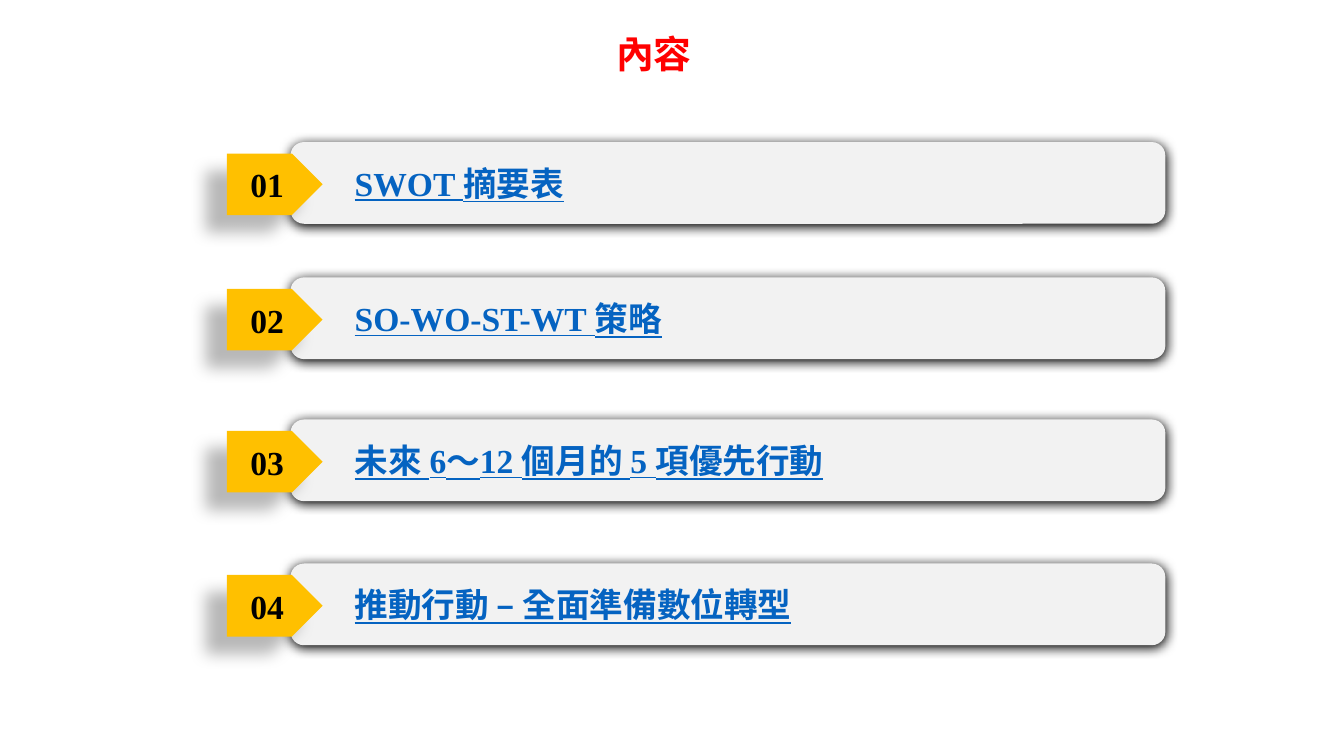
from dataclasses import dataclass

from lxml.etree import SubElement
from pptx import Presentation
from pptx.dml.color import RGBColor
from pptx.enum.lang import MSO_LANGUAGE_ID
from pptx.enum.shapes import MSO_SHAPE
from pptx.enum.text import MSO_ANCHOR, MSO_AUTO_SIZE, PP_ALIGN
from pptx.oxml.ns import qn
from pptx.shapes.autoshape import Shape
from pptx.slide import Slide
from pptx.text.text import TextFrame
from pptx.util import Cm, Pt


@dataclass(frozen=True)
class Theme:
    font: str = "Times New Roman"
    title_size: float = 27
    item_size: float = 24
    title: str = "FF0000"
    link: str = "0563C1"
    number: str = "000000"
    bar: str = "F2F2F2"
    tag: str = "FFC000"
    shadow: str = "000000"


@dataclass(frozen=True)
class Shadow:
    opacity: int
    blur: float
    distance: float
    angle: int


@dataclass(frozen=True)
class Frame:
    left: float
    top: float
    width: float
    height: float

    def lengths(self) -> list[Cm]:
        return [Cm(side) for side in (self.left, self.top, self.width, self.height)]


@dataclass(frozen=True)
class Entry:
    top: float
    label: str


THEME = Theme()
BAR_SHADOW = Shadow(opacity=100, blur=8.5, distance=1, angle=90)
TAG_SHADOW = Shadow(opacity=28, blur=11.8, distance=19.7, angle=141)
TAG_OFFSET = 0.29
ENTRIES = [
    Entry(3.58, "SWOT 摘要表"),
    Entry(6.99, "SO-WO-ST-WT 策略"),
    Entry(10.57, "未來 6〜12 個月的 5 項優先行動"),
    Entry(14.2, "推動行動 – 全面準備數位轉型"),
]


def write_text(frame: TextFrame, text: str, size: float, color: str,
               align: PP_ALIGN, underline: bool = False, level: int = 0) -> None:
    frame.word_wrap = True
    para = frame.paragraphs[0]
    para.text = text
    para.alignment = align
    para.level = level
    for span in para.runs:
        span.font.name = THEME.font
        span.font.size = Pt(size)
        span.font.bold = True
        span.font.underline = underline
        span.font.color.rgb = RGBColor.from_string(color)
        span.font.language_id = MSO_LANGUAGE_ID.TRADITIONAL_CHINESE


def cast_shadow(shape: Shape, shadow: Shadow) -> None:
    shape.shadow.inherit = False
    effects = shape.element.spPr.find(qn("a:effectLst"))
    outer = SubElement(effects, qn("a:outerShdw"), {
        "blurRad": str(Pt(shadow.blur)),
        "dist": str(Pt(shadow.distance)),
        "dir": str(shadow.angle * 60000),
        "algn": "ctr",
        "rotWithShape": "0",
    })
    color = SubElement(outer, qn("a:srgbClr"), {"val": THEME.shadow})
    SubElement(color, qn("a:alpha"), {"val": str(shadow.opacity * 1000)})


def add_panel(page: Slide, kind: MSO_SHAPE, frame: Frame, fill: str, shadow: Shadow) -> Shape:
    panel = page.shapes.add_shape(kind, *frame.lengths())
    panel.fill.solid()
    panel.fill.fore_color.rgb = RGBColor.from_string(fill)
    panel.line.fill.background()
    cast_shadow(panel, shadow)
    panel.text_frame.vertical_anchor = MSO_ANCHOR.MIDDLE
    return panel


def add_entry(page: Slide, number: int, entry: Entry) -> None:
    bar = add_panel(page, MSO_SHAPE.ROUNDED_RECTANGLE,
                    Frame(7.32, entry.top, 22.05, 2.06), THEME.bar, BAR_SHADOW)
    write_text(bar.text_frame, entry.label, THEME.item_size, THEME.link,
               PP_ALIGN.LEFT, underline=True, level=1)
    tag = add_panel(page, MSO_SHAPE.PENTAGON,
                    Frame(5.72, entry.top + TAG_OFFSET, 2.41, 1.55), THEME.tag, TAG_SHADOW)
    write_text(tag.text_frame, f"{number:02d}", THEME.item_size, THEME.number, PP_ALIGN.CENTER)


def add_title(page: Slide) -> None:
    box = page.shapes.add_textbox(*Frame(7.87, 0.64, 17.22, 1.42).lengths())
    write_text(box.text_frame, "內容", THEME.title_size, THEME.title, PP_ALIGN.CENTER)
    box.text_frame.auto_size = MSO_AUTO_SIZE.SHAPE_TO_FIT_TEXT


def main() -> None:
    deck = Presentation()
    deck.slide_width, deck.slide_height = Cm(33.87), Cm(19.05)
    page = deck.slides.add_slide(deck.slide_layouts[6])
    add_title(page)
    for number, entry in enumerate(ENTRIES, start=1):
        add_entry(page, number, entry)
    deck.save("out.pptx")


if __name__ == "__main__":
    main()
